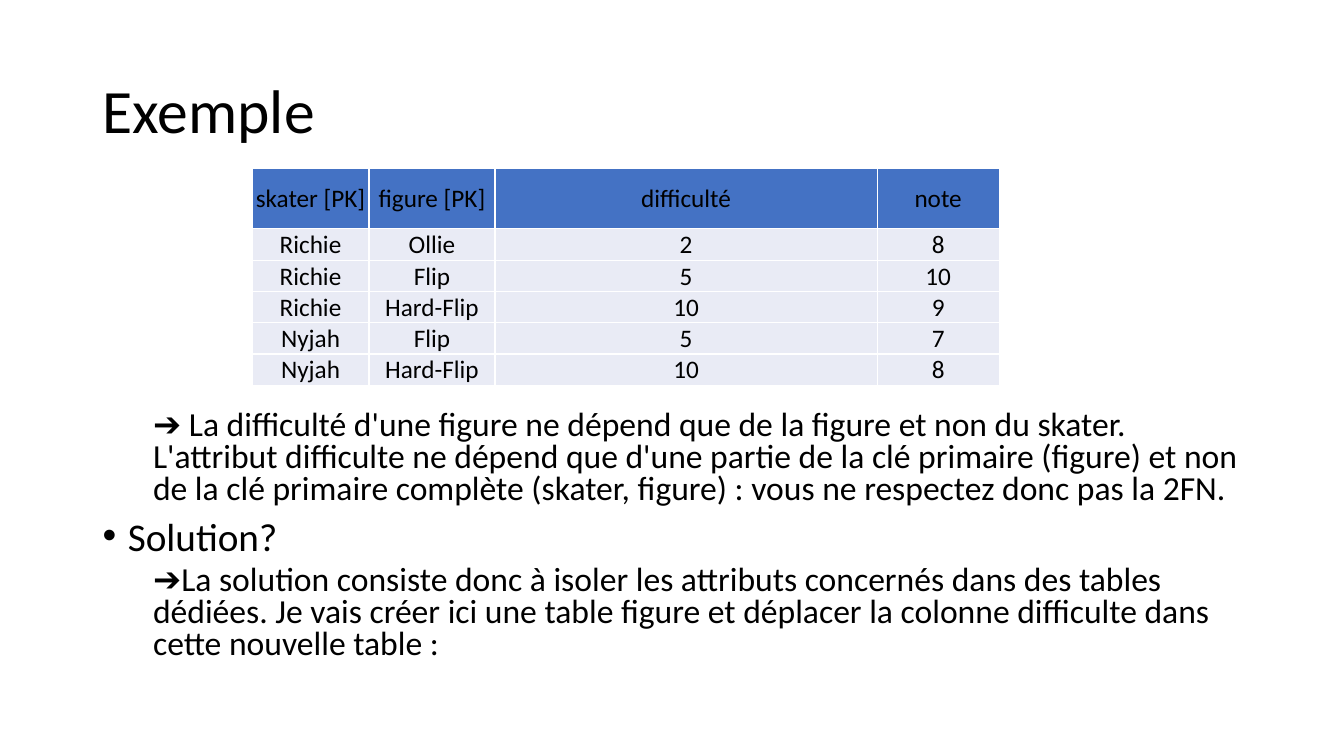
from dataclasses import dataclass

from lxml.etree import SubElement
from pptx import Presentation
from pptx.dml.color import RGBColor
from pptx.enum.text import MSO_ANCHOR, PP_ALIGN
from pptx.oxml.ns import qn
from pptx.util import Inches, Pt


@dataclass(frozen=True)
class Theme:
    """Hold the colours, font and type sizes."""
    font: str = "Calibri"
    ink: str = "000000"
    head: str = "4472C4"
    row: str = "E9EBF5"
    rule: str = "FFFFFF"
    title: int = 44
    point: int = 28
    detail: int = 24
    cell: int = 18


THEME = Theme()
WIDTHS = (1.16, 1.25, 3.79, 1.21)
HEIGHTS = (0.6,) + (0.31,) * 5
ROWS = (
    ("skater [PK]", "figure [PK]", "difficulté", "note"),
    ("Richie", "Ollie", "2", "8"),
    ("Richie", "Flip", "5", "10"),
    ("Richie", "Hard-Flip", "10", "9"),
    ("Nyjah", "Flip", "5", "7"),
    ("Nyjah", "Hard-Flip", "10", "8"),
)
REASON = (
    "➔ La difficulté d'une figure ne dépend que de la figure et non du skater. "
    "L'attribut difficulte ne dépend que d'une partie de la clé primaire (figure) "
    "et non de la clé primaire complète (skater, figure) : "
    "vous ne respectez donc pas la 2FN."
)
ANSWER = (
    "➔La solution consiste donc à isoler les attributs concernés dans des tables "
    "dédiées. Je vais créer ici une table figure et déplacer la colonne difficulte "
    "dans cette nouvelle table :"
)


def write(para, text, size, align=PP_ALIGN.LEFT, line=1.0, before=0,
          left=0, hang=0, bullet=None):
    """Write one formatted paragraph."""
    para.alignment, para.line_spacing = align, line
    para.space_before = Pt(before)
    props = para._p.get_or_add_pPr()
    props.set("marL", str(Inches(left)))
    props.set("indent", str(Inches(-hang)))
    if bullet:
        SubElement(props, qn("a:buFont"), typeface="Arial")
        SubElement(props, qn("a:buChar"), char=bullet)
    run = para.add_run()
    run.text = text
    run.font.name, run.font.size = THEME.font, Pt(size)
    run.font.color.rgb = RGBColor.from_string(THEME.ink)


def frame(slide, box, anchor=MSO_ANCHOR.TOP):
    """Add a wrapped text box and return its frame."""
    text = slide.shapes.add_textbox(*map(Inches, box)).text_frame
    text.word_wrap, text.vertical_anchor = True, anchor
    return text


def border(cell):
    """Draw a thin rule on each side of a cell."""
    props = cell._tc.get_or_add_tcPr()
    for spot, side in enumerate(("lnL", "lnR", "lnT", "lnB")):
        line = props.makeelement(qn(f"a:{side}"), {"w": str(Pt(1))})
        fill = SubElement(line, qn("a:solidFill"))
        SubElement(fill, qn("a:srgbClr"), val=THEME.rule)
        props.insert(spot, line)


def add_title(slide, box):
    """Place the slide title."""
    text = frame(slide, box, MSO_ANCHOR.MIDDLE)
    write(text.paragraphs[0], "Exemple", THEME.title, line=0.9)


def add_body(slide, box):
    """Place the points in the lower part of the body box."""
    text = frame(slide, box)
    text.margin_top = Inches(2.07)
    detail = dict(size=THEME.detail, left=0.5, before=5)
    point = dict(size=THEME.point, left=0.25, hang=0.25, before=10, bullet="•")
    items = ((REASON, detail), ("Solution?", point), (ANSWER, detail))
    for spot, (words, style) in enumerate(items):
        para = text.add_paragraph() if spot else text.paragraphs[0]
        para.level = int(style is detail)
        write(para, words, line=0.8, **style)


def add_scores(slide, box):
    """Place the table of skaters and scores."""
    table = slide.shapes.add_table(
        len(ROWS), len(WIDTHS), *map(Inches, box)).table
    table.horz_banding = False
    for column, width in zip(table.columns, WIDTHS):
        column.width = Inches(width)
    for y, (row, height) in enumerate(zip(ROWS, HEIGHTS)):
        table.rows[y].height = Inches(height)
        for x, words in enumerate(row):
            cell = table.cell(y, x)
            cell.margin_left = cell.margin_right = Inches(0.01)
            cell.margin_top, cell.margin_bottom = Inches(0.01), 0
            cell.vertical_anchor = MSO_ANCHOR.MIDDLE
            cell.fill.solid()
            cell.fill.fore_color.rgb = RGBColor.from_string(
                THEME.row if y else THEME.head)
            border(cell)
            write(cell.text_frame.paragraphs[0], words, THEME.cell,
                  align=PP_ALIGN.CENTER)


def main():
    """Build and save the slide."""
    deck = Presentation()
    deck.slide_width, deck.slide_height = Inches(13.33), Inches(7.5)
    slide = deck.slides.add_slide(deck.slide_layouts[6])
    add_title(slide, (0.92, 0.4, 11.5, 1.45))
    add_body(slide, (0.92, 2, 11.5, 4.76))
    add_scores(slide, (2.5, 1.67, 7.41, 2.15))
    deck.save("out.pptx")


if __name__ == "__main__":
    main()
